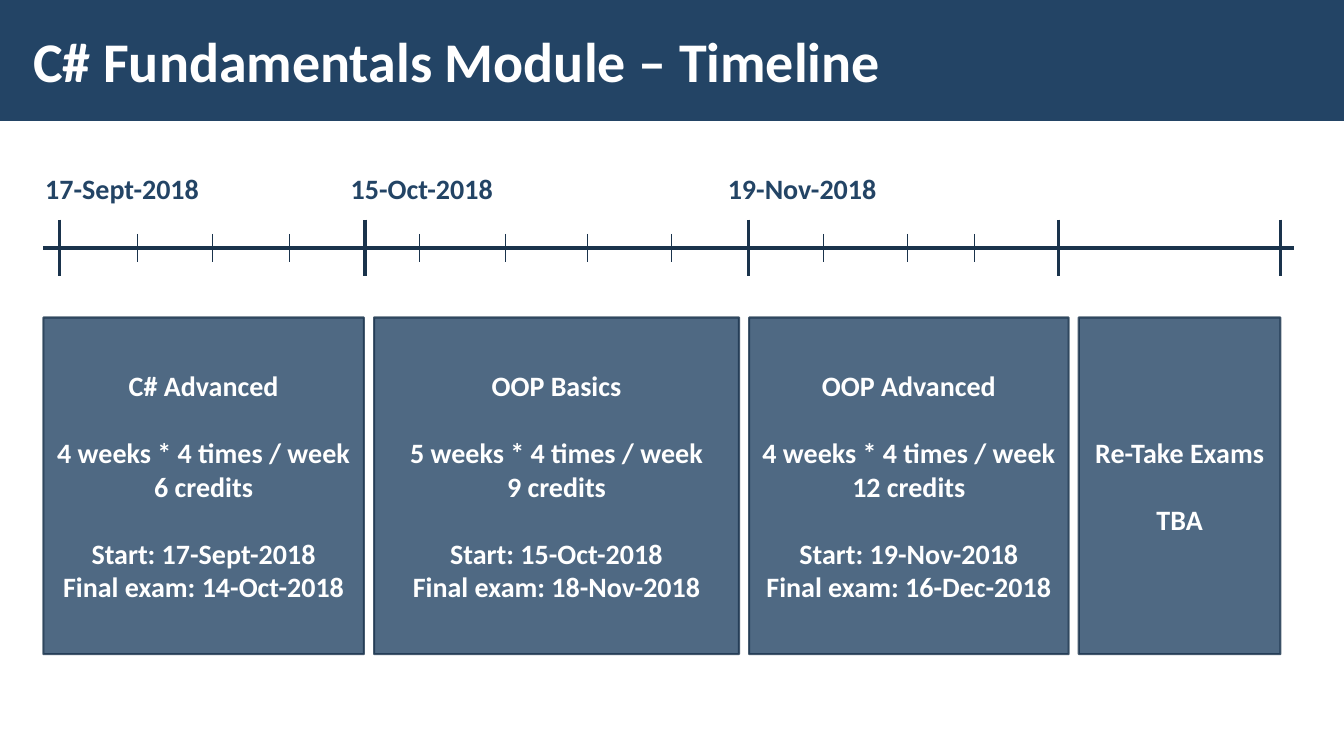
"""Build the course module timeline slide."""
from lxml.etree import SubElement
from pptx import Presentation
from pptx.dml.color import RGBColor
from pptx.enum.shapes import MSO_CONNECTOR, MSO_SHAPE
from pptx.enum.text import MSO_ANCHOR, PP_ALIGN
from pptx.oxml.ns import qn
from pptx.util import Inches, Pt

FONT = "Calibri"
NAVY, DARK, WHITE = "234465", "1A334C", "FFFFFF"
MAJOR = [0.16, 3.19, 6.99, 10.07, 12.27]
MINOR = [0.93, 1.68, 2.44, 3.73, 4.58, 5.4, 6.23, 7.74, 8.57, 9.23]
DATES = [
    (-0.08, 1.75, "17-Sept-2018"),
    (2.95, 1.63, "15-Oct-2018"),
    (6.69, 1.69, "19-Nov-2018"),
]
CARDS = [
    (3.18, [["C# Advanced"],
            ["4 weeks * 4 times / week", "6 credits"],
            ["Start: 17-Sept-2018", "Final exam: 14-Oct-2018"]]),
    (3.62, [["OOP Basics"],
            ["5 weeks * 4 times / week", "9 credits"],
            ["Start: 15-Oct-2018", "Final exam: 18-Nov-2018"]]),
    (3.17, [["OOP Advanced"],
            ["4 weeks * 4 times / week", "12 credits"],
            ["Start: 19-Nov-2018", "Final exam: 16-Dec-2018"]]),
    (2, [["Re-Take Exams"], ["TBA"]]),
]


def paint(target, color):
    """Set a solid hex colour on a fill or a font."""
    if hasattr(target, "solid"):
        target.solid()
        target.fore_color.rgb = RGBColor.from_string(color)
    else:
        target.color.rgb = RGBColor.from_string(color)


def fade(fill, share):
    """Make a solid fill partly transparent."""
    color = fill.fore_color._xFill[0]
    SubElement(color, qn("a:alpha")).set("val", str(share * 1000))


def write(para, text, size, color):
    """Add one bold run to a paragraph."""
    run = para.add_run()
    run.text = text
    run.font.name = FONT
    run.font.size = Pt(size)
    run.font.bold = True
    paint(run.font, color)


def block(slide, left, top, width, height):
    """Add a flat navy rectangle."""
    shape = slide.shapes.add_shape(
        MSO_SHAPE.RECTANGLE, Inches(left), Inches(top),
        Inches(width), Inches(height))
    shape.shadow.inherit = False
    paint(shape.fill, NAVY)
    return shape


def rule(slide, x1, y1, x2, y2, weight):
    """Draw one straight dark line."""
    line = slide.shapes.add_connector(
        MSO_CONNECTOR.STRAIGHT, Inches(x1), Inches(y1),
        Inches(x2), Inches(y2))
    paint(line.line.fill, DARK)
    line.line.width = Pt(weight)
    SubElement(line.element.spPr, qn("a:effectLst"))


def header(slide, left, top, width, height):
    """Place the title over its band."""
    band = block(slide, left, top, width, height)
    band.line.fill.background()
    title = slide.shapes.title
    title.element.addprevious(band.element)
    title.left, title.top = Inches(left + 0.21), Inches(top + 0.11)
    title.width, title.height = Inches(10.39), Inches(0.97)
    frame = title.text_frame
    frame.margin_left = frame.margin_right = Inches(0.12)
    frame.margin_top = frame.margin_bottom = Inches(0.04)
    frame.vertical_anchor = MSO_ANCHOR.MIDDLE
    para = frame.paragraphs[0]
    para.alignment = PP_ALIGN.LEFT
    write(para, "C# Fundamentals Module – Timeline", 40, WHITE)


def timeline(slide, left, top, width, height):
    """Draw the dated axis with its long and short ticks."""
    axis = top + height - 0.28
    rule(slide, left, axis, left + width, axis, 2.25)
    for marks, half, weight in ((MAJOR, 0.28, 2.25), (MINOR, 0.14, 0.5)):
        for mark in marks:
            x = left + mark
            rule(slide, x, axis - half, x, axis + half, weight)
    for shift, span, date in DATES:
        label = slide.shapes.add_textbox(
            Inches(left + shift), Inches(top), Inches(span), Inches(0.44))
        label.text_frame.word_wrap = False
        write(label.text_frame.paragraphs[0], date, 20, NAVY)


def card(slide, left, top, width, height, groups):
    """Draw one course card with spaced groups of lines."""
    shape = block(slide, left, top, width, height)
    paint(shape.line.fill, DARK)
    shape.line.width = Pt(1.5)
    fade(shape.fill, 80)
    fade(shape.line.fill, 80)
    frame = shape.text_frame
    frame.word_wrap = True
    frame.vertical_anchor = MSO_ANCHOR.MIDDLE
    para = frame.paragraphs[0]
    for g, group in enumerate(groups):
        for n, text in enumerate(group):
            if g or n:
                para = frame.add_paragraph()
            if g and not n:
                para.space_before = Pt(24)
            para.alignment = PP_ALIGN.CENTER
            write(para, text, 20, WHITE)


def courses(slide, left, top, height, gap):
    """Lay the course cards in a row."""
    for width, groups in CARDS:
        card(slide, left, top, width, height, groups)
        left += width + gap


def main():
    """Build and save the deck."""
    deck = Presentation()
    deck.slide_width, deck.slide_height = Inches(13.33), Inches(7.5)
    slide = deck.slides.add_slide(deck.slide_layouts[5])
    header(slide, 0, 0, 13.33, 1.2)
    timeline(slide, 0.43, 1.65, 12.4, 1.09)
    courses(slide, 0.43, 3.15, 3.34, 0.1)
    deck.save("out.pptx")


if __name__ == "__main__":
    main()
